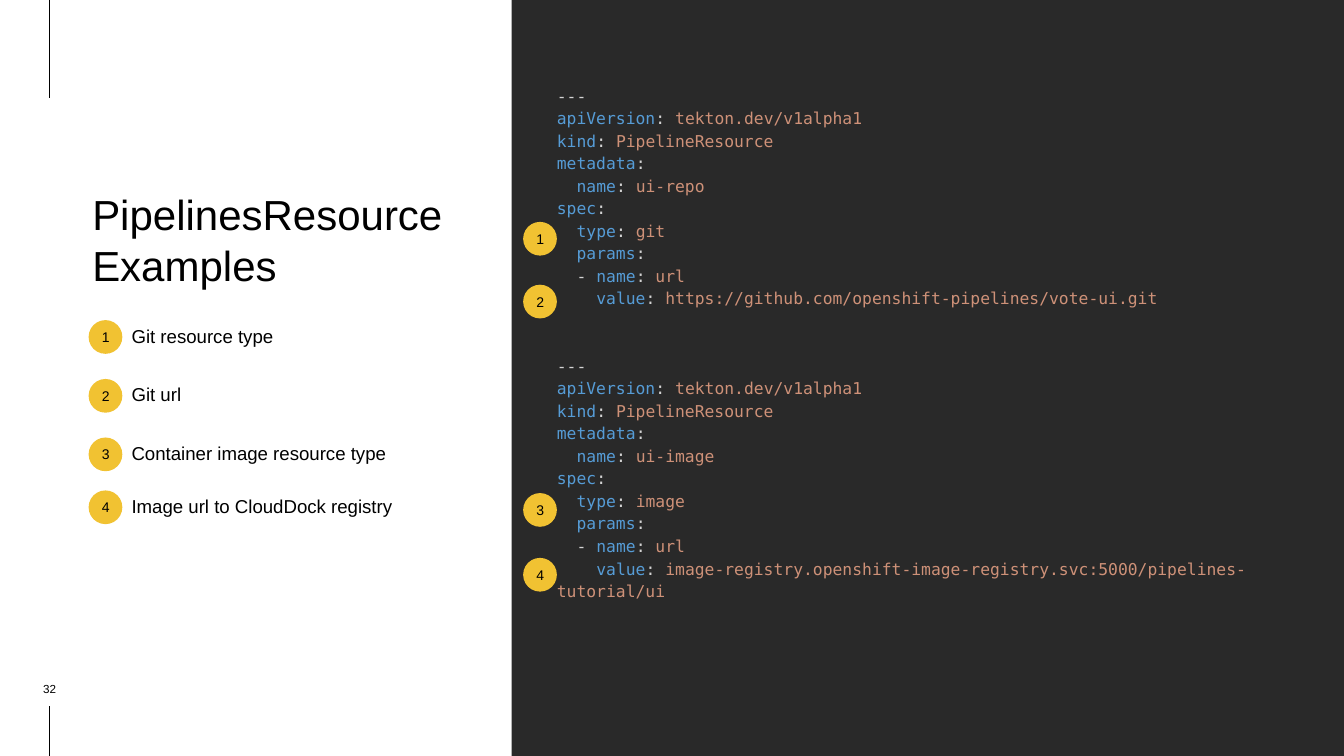
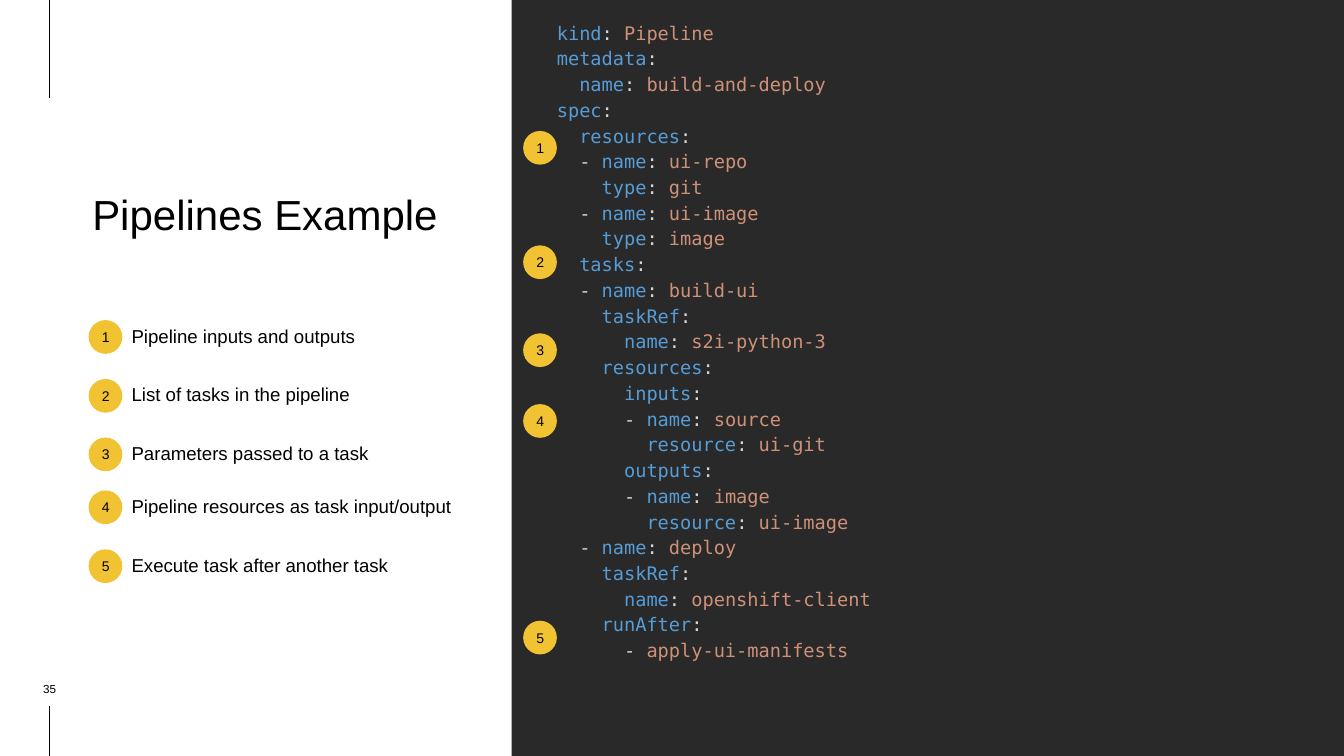
from dataclasses import dataclass

from lxml.etree import SubElement
from pptx import Presentation
from pptx.dml.color import RGBColor
from pptx.enum.shapes import MSO_CONNECTOR, MSO_SHAPE
from pptx.enum.text import MSO_ANCHOR, MSO_AUTO_SIZE, PP_ALIGN
from pptx.oxml.ns import qn
from pptx.slide import Slide
from pptx.text.text import Font, TextFrame
from pptx.util import Cm, Pt

WIDE, HIGH = 40.64, 22.86
SANS, MONO = "Arial", "DejaVu Sans Mono"
BLACK, DARK, GOLD = "000000", "292929", "F1C232"
PLAIN, KEY, VALUE = "D4D4D4", "569CD6", "CE9178"
PANEL_X, RULE_X = 15.47, 1.5
BADGE, INSET = 1.02, 0.25
LEGEND_X, MARK_X, LABEL_X = 2.68, 15.82, 3.73
LEGEND_TOPS = (9.68, 11.46, 13.23, 14.83, 16.61)

REPO = """---
apiVersion: tekton.dev/v1alpha1
kind: PipelineResource
metadata:
  name: ui-repo
spec:
  type: git
  params:
  - name: url
    value: https://github.com/openshift-pipelines/vote-ui.git"""

IMAGE = """---
apiVersion: tekton.dev/v1alpha1
kind: PipelineResource
metadata:
  name: ui-image
spec:
  type: image
  params:
  - name: url
    value: image-registry.openshift-image-registry.svc:5000/pipelines-tutorial/ui"""

BUILD = """kind: Pipeline
metadata:
  name: build-and-deploy
spec:
  resources:
  - name: ui-repo
    type: git
  - name: ui-image
    type: image
  tasks:
  - name: build-ui
    taskRef:
      name: s2i-python-3
    resources:
      inputs:
      - name: source
        resource: ui-git
      outputs:
      - name: image
        resource: ui-image
  - name: deploy
    taskRef:
      name: openshift-client
    runAfter:
      - apply-ui-manifests"""


@dataclass
class Note:
    label: str
    mark: float  # top of the badge beside the code, in cm


@dataclass
class Page:
    title: str
    number: str
    notes: list[Note]
    docs: list[str]
    size: int
    inset: float
    width: float
    height: float


PAGES = [
    Page("PipelinesResource\vExamples", "32",
         [Note("Git resource type", 6.71),
          Note("Git url", 8.61),
          Note("Container image resource type", 14.91),
          Note("Image url to CloudDock registry", 16.87)],
         [REPO, IMAGE], 14, 2.21, 23.29, 20.55),
    Page("Pipelines Example", "35",
         [Note("Pipeline inputs and outputs", 3.96),
          Note("List of tasks in the pipeline", 7.42),
          Note("Parameters passed to a task", 10.08),
          Note("Pipeline resources as task input/output", 12.22),
          Note("Execute task after another task", 18.77)],
         [BUILD], 16, INSET, 22.07, 22.17),
]


def tint(code: str) -> RGBColor:
    return RGBColor.from_string(code)


def style(font: Font, size: int, color: str = BLACK, name: str = SANS) -> None:
    font.size, font.name = Pt(size), name
    font.color.rgb = tint(color)


def pad(frame: TextFrame, inset: float = INSET) -> None:
    frame.margin_left = frame.margin_right = Cm(inset)
    frame.margin_top = frame.margin_bottom = Cm(inset)


def write(frame: TextFrame, text: str, size: int, inset: float = INSET,
          align: PP_ALIGN = PP_ALIGN.LEFT,
          anchor: MSO_ANCHOR = MSO_ANCHOR.TOP) -> None:
    frame.text = text
    frame.word_wrap = True
    frame.auto_size = MSO_AUTO_SIZE.NONE
    frame.vertical_anchor = anchor
    pad(frame, inset)
    line = frame.paragraphs[0]
    line.alignment = align
    for run in line.runs:
        style(run.font, size)


def box(slide: Slide, x: float, y: float, w: float, h: float) -> TextFrame:
    return slide.shapes.add_textbox(Cm(x), Cm(y), Cm(w), Cm(h)).text_frame


def block(slide: Slide, kind: MSO_SHAPE, x: float, y: float, w: float,
          h: float, fill: str) -> TextFrame:
    shape = slide.shapes.add_shape(kind, Cm(x), Cm(y), Cm(w), Cm(h))
    shape.shadow.inherit = False
    shape.fill.solid()
    shape.fill.fore_color.rgb = tint(fill)
    shape.line.fill.background()
    return shape.text_frame


def rule(slide: Slide, top: float, end: float) -> None:
    line = slide.shapes.add_connector(
        MSO_CONNECTOR.STRAIGHT, Cm(RULE_X), Cm(end), Cm(RULE_X), Cm(top))
    line.line.color.rgb = tint(BLACK)
    line.line.width = Pt(0.75)
    SubElement(line._element.spPr, qn("a:effectLst"))


def badge(slide: Slide, x: float, y: float, number: int) -> None:
    frame = block(slide, MSO_SHAPE.OVAL, x, y, BADGE, BADGE, GOLD)
    write(frame, str(number), 12, align=PP_ALIGN.CENTER,
          anchor=MSO_ANCHOR.MIDDLE)


def split(line: str) -> list[tuple[str, str]]:
    """Cut a line of YAML into coloured parts: lead, key, colon and value."""
    body = line.lstrip(" -")
    lead = line[:len(line) - len(body)]
    key, colon, value = body.partition(":")
    if not colon:
        key, value = "", body
    gap = colon + " " if colon and value else colon
    parts = [(lead, PLAIN), (key, KEY), (gap, PLAIN), (value.strip(), VALUE)]
    return [part for part in parts if part[0]]


def code(slide: Slide, page: Page) -> None:
    frame = box(slide, 16.59, 0.3, page.width, page.height)
    frame.word_wrap = True
    pad(frame)
    frame.margin_top = Cm(page.inset)
    para = frame.paragraphs[0]
    for i, doc in enumerate(page.docs):
        for j, line in enumerate(doc.splitlines()):
            if i or j:
                para = frame.add_paragraph()
            if i and not j:
                para.space_before = Pt(38.5)
            para.line_spacing = 1.15
            for text, color in split(line):
                run = para.add_run()
                run.text = text
                style(run.font, page.size, color, MONO)


def base(slide: Slide, page: Page) -> None:
    """Draw what every page shares: rules, dark panel, number and title."""
    rule(slide, 0, 2.95)
    rule(slide, 21.34, HIGH)
    block(slide, MSO_SHAPE.RECTANGLE, PANEL_X, 0, WIDE - PANEL_X, HIGH, DARK)
    write(box(slide, 0.28, 20.57, 2.44, 0.48), page.number, 10, 0,
          PP_ALIGN.CENTER, MSO_ANCHOR.BOTTOM)
    title = slide.shapes.title
    title.left, title.top = Cm(2.54), Cm(5.46)
    title.width, title.height = Cm(11.84), Cm(3)
    write(title.text_frame, page.title, 36)


def draw(slide: Slide, page: Page) -> None:
    base(slide, page)
    code(slide, page)
    for i, (note, top) in enumerate(zip(page.notes, LEGEND_TOPS), 1):
        badge(slide, MARK_X, note.mark, i)
        badge(slide, LEGEND_X, top, i)
        write(box(slide, LABEL_X, top - 0.12, 10.64, BADGE), note.label, 16)


def main() -> None:
    deck = Presentation()
    deck.slide_width, deck.slide_height = Cm(WIDE), Cm(HIGH)
    for page in PAGES:
        draw(deck.slides.add_slide(deck.slide_layouts[5]), page)
    deck.save("out.pptx")


if __name__ == "__main__":
    main()
